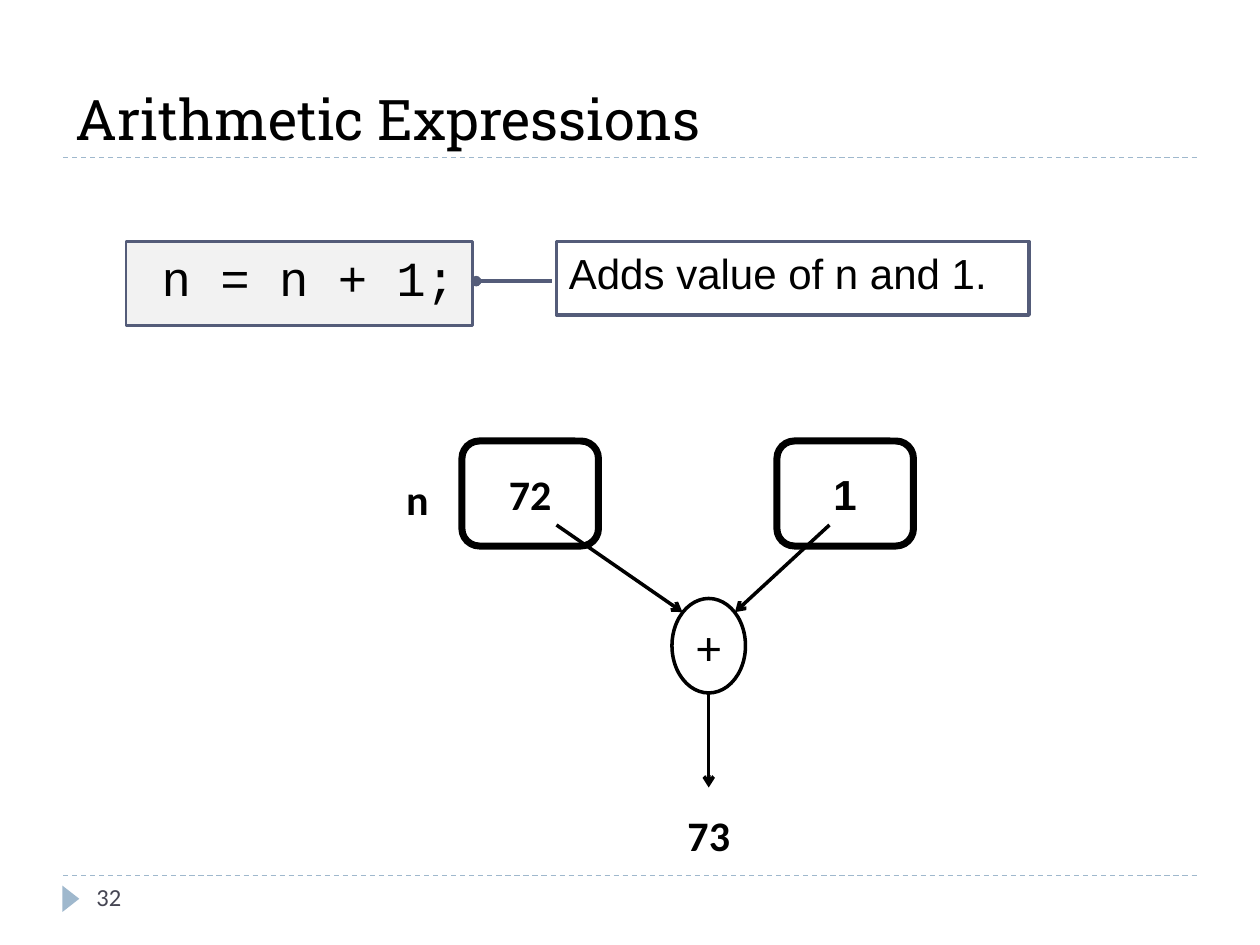
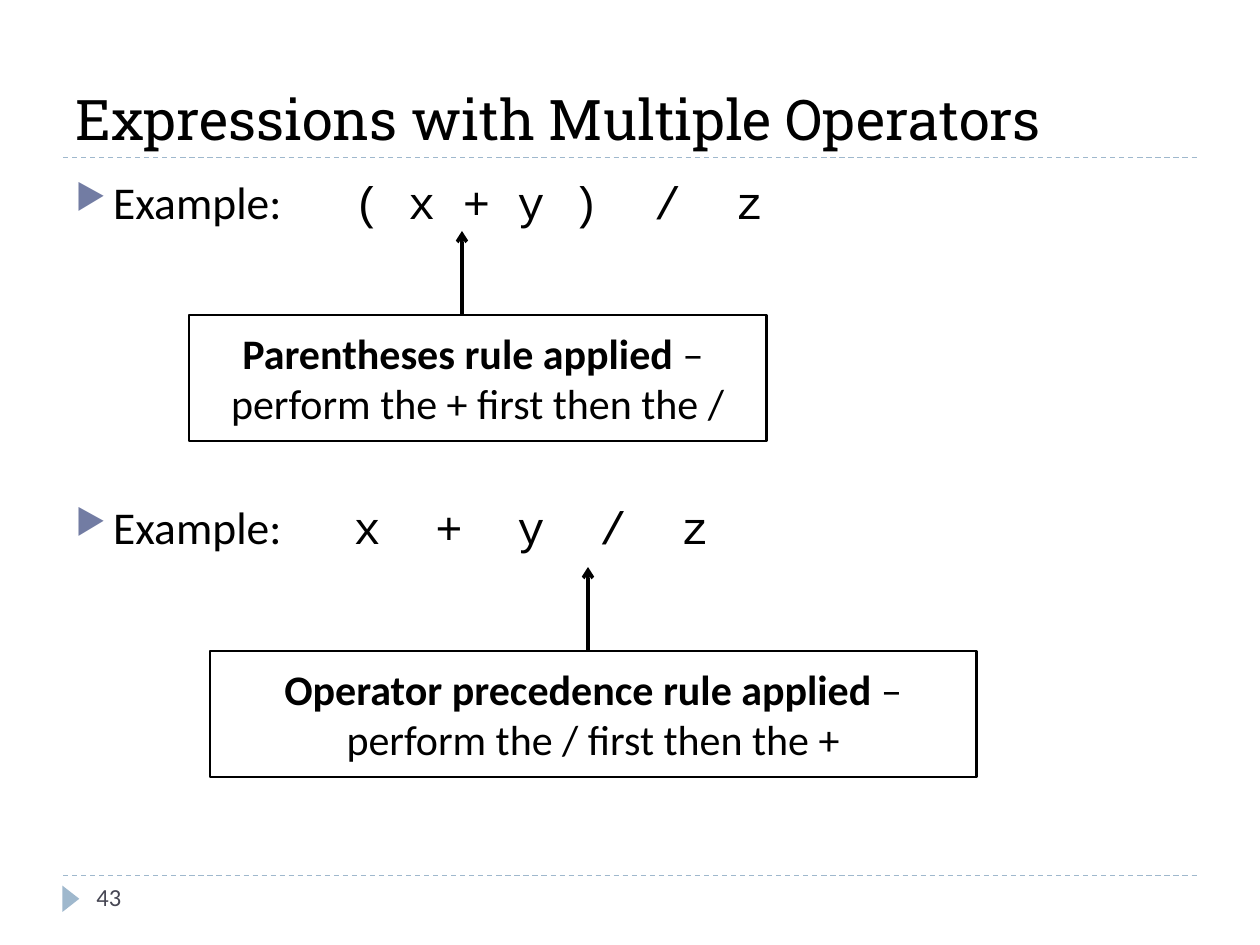
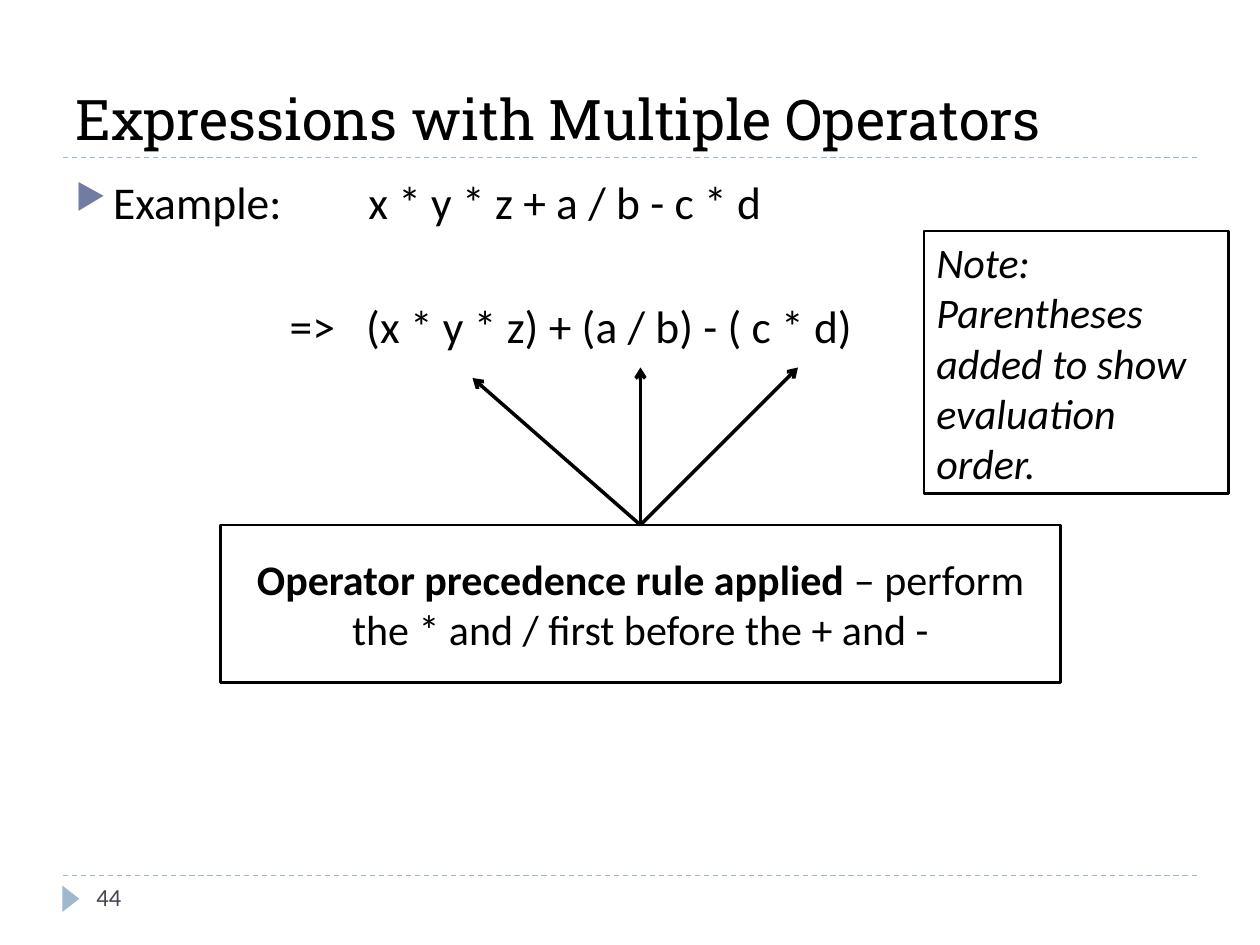
from dataclasses import dataclass
from typing import Optional

from lxml import etree
from pptx import Presentation
from pptx.dml.color import RGBColor
from pptx.enum.dml import MSO_LINE
from pptx.enum.shapes import MSO_CONNECTOR, MSO_SHAPE
from pptx.enum.text import MSO_ANCHOR, PP_ALIGN
from pptx.oxml.ns import qn
from pptx.util import Emu, Pt

EMU_PER_PX = 7620
BLANK_LAYOUT = 6

RECTANGLE = MSO_SHAPE.RECTANGLE
ROUNDED = MSO_SHAPE.ROUNDED_RECTANGLE
ELLIPSE = MSO_SHAPE.OVAL
TRIANGLE = MSO_SHAPE.ISOSCELES_TRIANGLE
CALLOUT = MSO_SHAPE.LINE_CALLOUT_1
STRAIGHT = MSO_CONNECTOR.STRAIGHT
DASH = MSO_LINE.DASH
TOP, MIDDLE, BOTTOM = MSO_ANCHOR.TOP, MSO_ANCHOR.MIDDLE, MSO_ANCHOR.BOTTOM
LEFT, CENTER, RIGHT = PP_ALIGN.LEFT, PP_ALIGN.CENTER, PP_ALIGN.RIGHT

COLORS = {
    "text": "000000",
    "outline": "000000",
    "frame": "545C79",
    "code_fill": "F2F2F2",
    "callout_fill": "FFFFFF",
    "accent": "9FB8CD",
    "bullet": "727CA3",
    "number": "464653",
}

TITLE_FONT, BODY_FONT, CODE_FONT, NOTE_FONT = "Roboto Slab", "Calibri", "Courier New", "Arial"


@dataclass(frozen=True)
class Run:
    text: str
    size: int = 24
    font: str = BODY_FONT
    bold: bool = False
    italic: bool = False
    color: str = "text"


@dataclass(frozen=True)
class Box:
    left: int
    top: int
    width: int
    height: int
    paragraphs: tuple[tuple[Run, ...], ...] = ()
    kind: Optional[MSO_SHAPE] = None
    fill: Optional[str] = None
    line: Optional[str] = None
    line_width: float = 1.5
    anchor: MSO_ANCHOR = MIDDLE
    align: PP_ALIGN = CENTER
    inset_x: int = 12


@dataclass(frozen=True)
class Line:
    x1: int
    y1: int
    x2: int
    y2: int
    color: str = "outline"
    width: float = 2
    arrow: bool = True


def px(value: float) -> Emu:
    return Emu(round(value * EMU_PER_PX))


def rgb(name: str) -> RGBColor:
    return RGBColor.from_string(COLORS[name])


def add_line_end(shape, end: str) -> None:
    outline = shape.line._get_or_add_ln()
    etree.SubElement(outline, qn("a:tailEnd"), type=end)


def write_runs(paragraph, runs: tuple[Run, ...]) -> None:
    for item in runs:
        run = paragraph.add_run()
        run.text = item.text
        run.font.name = item.font
        run.font.size = Pt(item.size)
        run.font.bold = item.bold
        run.font.italic = item.italic
        run.font.color.rgb = rgb(item.color)


def draw_box(slide, box: Box):
    place = [px(value) for value in (box.left, box.top, box.width, box.height)]
    if box.kind is None:
        shape = slide.shapes.add_textbox(*place)
    else:
        shape = slide.shapes.add_shape(box.kind, *place)
        shape.shadow.inherit = False
        if box.fill:
            shape.fill.solid()
            shape.fill.fore_color.rgb = rgb(box.fill)
        else:
            shape.fill.background()
        if box.line:
            shape.line.color.rgb = rgb(box.line)
            shape.line.width = Pt(box.line_width)
        else:
            shape.line.fill.background()
    frame = shape.text_frame
    frame.word_wrap = True
    frame.vertical_anchor = box.anchor
    frame.margin_left = frame.margin_right = px(box.inset_x)
    frame.margin_top = frame.margin_bottom = px(6)
    for index, runs in enumerate(box.paragraphs):
        paragraph = frame.add_paragraph() if index else frame.paragraphs[0]
        paragraph.alignment = box.align
        write_runs(paragraph, runs)
    return shape


def draw_line(slide, line: Line):
    ends = [px(value) for value in (line.x1, line.y1, line.x2, line.y2)]
    connector = slide.shapes.add_connector(STRAIGHT, *ends)
    connector.line.color.rgb = rgb(line.color)
    connector.line.width = Pt(line.width)
    if line.arrow:
        add_line_end(connector, "arrow")
    etree.SubElement(connector._element.spPr, qn("a:effectLst"))
    return connector


def set_tab(paragraph, position: int) -> None:
    properties = paragraph._p.get_or_add_pPr()
    tabs = etree.SubElement(properties, qn("a:tabLst"))
    etree.SubElement(tabs, qn("a:tab"), pos=str(px(position)), algn="l")


def set_bullet(paragraph) -> None:
    properties = paragraph._p.get_or_add_pPr()
    properties.set("marL", str(px(36)))
    properties.set("indent", str(-px(36)))
    color = etree.SubElement(properties, qn("a:buClr"))
    etree.SubElement(color, qn("a:srgbClr"), val=COLORS["bullet"])
    etree.SubElement(properties, qn("a:buSzPct"), val="76000")
    etree.SubElement(properties, qn("a:buChar"), char="▶")


def draw_examples(slide, expressions: list[str], font: str, tab: int) -> None:
    examples = tuple(
        (Run("Example:\t", 26), Run(expression, 26, font)) for expression in expressions
    )
    body = draw_box(slide, Box(60, 160, 1080, 648, examples, anchor=TOP, align=LEFT))
    for index, paragraph in enumerate(body.text_frame.paragraphs):
        if index:
            paragraph.space_before = Pt(154.5)
        set_bullet(paragraph)
        set_tab(paragraph, tab)


def new_slide(presentation, title: str, number: int):
    slide = presentation.slides.add_slide(presentation.slide_layouts[BLANK_LAYOUT])
    for y in (834, 150):
        rule = draw_line(slide, Line(60, y, 1140, y, "accent", 0.75, False))
        rule.line.dash_style = DASH
    marker = draw_box(slide, Box(55, 848, 25, 16, kind=TRIANGLE, fill="accent"))
    marker.rotation = 90
    title_runs = ((Run(title, 32, TITLE_FONT),),)
    draw_box(slide, Box(60, 20, 1080, 130, title_runs, anchor=BOTTOM, align=LEFT))
    number_runs = ((Run(str(number), 14, color="number"),),)
    draw_box(slide, Box(80, 834, 260, 48, number_runs, anchor=TOP, align=LEFT))
    return slide


def rule_box(left: int, top: int, width: int, height: int, *paragraphs) -> Box:
    return Box(left, top, width, height, paragraphs, RECTANGLE, line="outline")


def build_arithmetic(presentation) -> None:
    slide = new_slide(presentation, "Arithmetic Expressions", 32)
    code = ((Run(" n = n + 1;", 28, CODE_FONT),),)
    draw_box(slide, Box(120, 230, 330, 80, code, RECTANGLE, "code_fill", "frame",
                        anchor=TOP, align=LEFT, inset_x=6))
    note = ((Run("Adds value of n and 1.", font=NOTE_FONT),),)
    callout = draw_box(slide, Box(530, 230, 450, 70, note, CALLOUT, "callout_fill",
                                  "frame", 2, TOP, LEFT))
    for index, value in enumerate((0.54, -0.01, 0.54, -0.17)):
        callout.adjustments[index] = value
    add_line_end(callout, "oval")

    for left, value, font in ((440, "72", BODY_FONT), (740, "1", NOTE_FONT)):
        operand = ((Run(value, font=font, bold=True),),)
        draw_box(slide, Box(left, 420, 130, 100, operand, ROUNDED,
                            line="outline", line_width=4))
    draw_box(slide, Box(370, 440, 50, 70, ((Run("n", bold=True),),), align=RIGHT))
    draw_box(slide, Box(630, 750, 90, 90, ((Run("73", bold=True),),)))
    draw_box(slide, Box(640, 570, 70, 90, ((Run("+", 28),),), ELLIPSE,
                        line="outline", line_width=2))
    for arrow in (Line(530, 500, 650, 583), Line(790, 500, 700, 583),
                  Line(675, 660, 675, 750)):
        draw_line(slide, arrow)


def build_two_rules(presentation) -> None:
    slide = new_slide(presentation, "Expressions with Multiple Operators", 43)
    draw_examples(slide, ["( x + y )  /  z", "x  +  y  /  z"], CODE_FONT, 265)
    draw_box(slide, rule_box(
        180, 300, 550, 120,
        (Run("Parentheses rule applied ", bold=True), Run("– ")),
        (Run("perform the + first then the /"),)))
    draw_box(slide, rule_box(
        200, 620, 730, 120,
        (Run("Operator precedence rule applied", bold=True),
         Run(" – perform the / first then the +"))))
    for x, y in ((440, 300), (560, 620)):
        draw_line(slide, Line(x, y, x, y - 80))


def build_precedence(presentation) -> None:
    slide = new_slide(presentation, "Expressions with Multiple Operators", 44)
    draw_examples(slide, ["x * y * z + a / b - c * d"], BODY_FONT, 279)
    draw_box(slide, rule_box(
        210, 500, 800, 150,
        (Run("Operator precedence rule applied", bold=True),
         Run(" – perform the * and / first before the + and -"))))
    for x, y in ((760, 350), (610, 350), (450, 360)):
        draw_line(slide, Line(610, 500, x, y))
    grouped = ((Run("=>\t(x * y * z) + (a / b) - ( c * d)", 26),),)
    expression = draw_box(slide, Box(264, 230, 596, 160, grouped, align=LEFT))
    set_tab(expression.text_frame.paragraphs[0], 73)
    note = ((Run("Note: Parentheses added to show evaluation order.", italic=True),),)
    draw_box(slide, Box(880, 220, 290, 250, note, RECTANGLE, line="outline", align=LEFT))


def main() -> None:
    presentation = Presentation()
    presentation.slide_width = px(1200)
    presentation.slide_height = px(900)
    build_arithmetic(presentation)
    build_two_rules(presentation)
    build_precedence(presentation)
    presentation.save("out.pptx")


if __name__ == "__main__":
    main()
